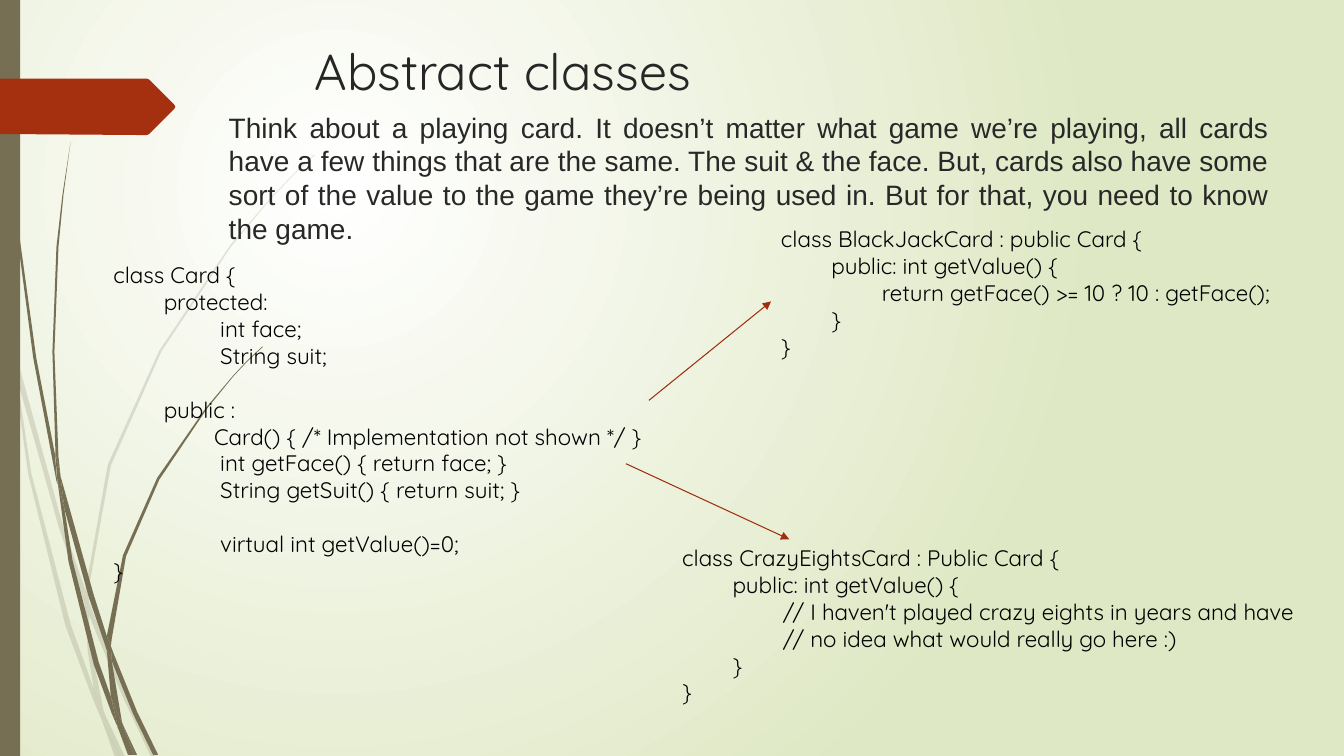
from lxml import etree
from pptx import Presentation
from pptx.dml.color import RGBColor
from pptx.enum.shapes import MSO_CONNECTOR as CONN, MSO_SHAPE as SHAPE
from pptx.enum.text import MSO_ANCHOR as ANCHOR, MSO_AUTO_SIZE as AUTO, PP_ALIGN as ALIGN
from pptx.oxml.ns import qn
from pptx.util import Pt

COLORS = {
    "white": "FFFFFF", "pale_green": "DFE8C4", "olive": "766F54", "rust": "A53010",
    "arrow": "9E2E0F", "title": "262626", "body": "282829", "code": "000000",
}
CODE_SIZE = 16
CODE_LINE = 19.2
TAB = 36
UNIT = Pt(0.72)  # outlines below are drawn on a grid of this step

# Grass: outlines of the blade parts
FAINT_GRASS = [
    [(11, 350), (9, 322), (0, 282), (0, 299), (10, 344)],
    [(58, 522), (84, 599), (85, 586), (62, 520), (14, 345), (17, 376)],
    [(92, 607), (88, 596), (88, 610), (123, 694), (150, 751), (155, 751), (127, 692)],
    [(119, 751), (124, 751), (105, 711)],
    [(93, 683), (70, 619), (31, 469), (17, 376), (11, 350), (28, 470), (65, 621),
     (92, 693), (101, 714), (99, 707)],
    [(84, 599), (87, 646), (93, 683), (96, 692), (105, 711), (103, 706), (91, 646),
     (88, 610), (88, 608)],
    [(88, 584), (110, 462), (160, 349), (229, 245), (268, 198), (290, 175), (312, 154),
     (312, 153), (289, 175), (268, 197), (228, 244), (158, 348), (107, 461), (85, 584),
     (85, 586), (88, 596)],
    [(101, 714), (114, 751), (119, 751)],
    [(88, 608), (88, 610), (88, 596), (85, 586), (84, 599)],
    [(96, 692), (93, 683), (99, 707), (101, 714), (119, 751), (105, 711)],
]
SOLID_GRASS = [
    [(7, 110), (17, 233), (33, 355), (56, 477), (57, 481), (55, 457), (55, 453),
     (36, 355), (19, 232), (8, 109), (5, 48), (4, 0), (3, 0), (4, 48)],
    [(88, 592), (106, 645), (106, 633), (106, 631), (93, 590), (60, 472), (64, 505)],
    [(113, 649), (110, 641), (111, 656), (132, 708), (152, 749), (157, 749), (136, 706)],
    [(110, 691), (98, 657), (72, 556), (64, 505), (57, 477), (68, 557), (93, 659),
     (111, 708), (117, 722), (116, 717)],
    [(60, 472), (58, 453), (54, 349), (58, 245), (63, 193), (70, 141), (62, 193),
     (56, 245), (52, 349), (55, 449)],
    [(133, 749), (136, 749), (122, 719)],
    [(57, 477), (64, 505), (60, 472), (55, 449), (55, 453)],
    [(111, 633), (125, 552), (158, 476), (205, 406), (231, 374), (245, 359), (261, 344),
     (260, 344), (245, 358), (231, 373), (204, 405), (156, 474), (122, 551), (106, 631),
     (110, 641)],
    [(117, 722), (127, 749), (131, 749)],
    [(106, 645), (110, 691), (116, 706), (122, 719), (121, 716), (111, 656), (109, 651)],
    [(106, 645), (109, 651), (111, 656), (110, 641), (106, 631)],
    [(116, 706), (110, 691), (116, 717), (117, 722), (130, 749), (133, 749), (122, 719)],
]
TAG = [(173, 108), (148, 133), (146, 134), (136, 134), (0, 133), (0, 78), (136, 78),
       (146, 78), (148, 79), (173, 104), (174, 106)]

# Code listings: (indent level, text); None leaves a line free
CARD = [
    (0, "class Card {"), (1, "protected:"), (2, " int face;"), (2, " String suit;"),
    None,
    (1, "public :"), (2, "Card() { /* Implementation not shown */ }"),
    (2, " int getFace() { return face; }"), (2, " String getSuit() { return suit; }"),
    None,
    (2, " virtual int getValue()=0;"), (0, "}"),
]
BLACKJACK = [
    (0, "class BlackJackCard : public Card {"), (1, "public: int getValue() {"),
    (2, "return getFace() >= 10 ? 10 : getFace();"), (1, "}"), (0, "}"),
]
CRAZY_EIGHTS = [
    (0, "class CrazyEightsCard : Public Card {"), (1, "public: int getValue() {"),
    (2, "// I haven't played crazy eights in years and have"),
    (2, "// no idea what would really go here :)"), (1, "}"), (0, "}"),
]
THOUGHT = (
    "Think about a playing card. It doesn’t matter what game we’re playing, all cards "
    "have a few things that are the same. The suit & the face. But, cards also have some "
    "sort of the value to the game they’re being used in. But for that, you need to know "
    "the game."
)


def rgb(name):
    return RGBColor.from_string(COLORS[name])


def paint(sp, color, alpha=None):
    sp.shadow.inherit = False
    sp.fill.solid()
    sp.fill.fore_color.rgb = rgb(color)
    sp.line.fill.background()
    if alpha:
        clr = sp._element.spPr.find(qn("a:solidFill"))[0]
        etree.SubElement(clr, qn("a:alpha")).set("val", str(alpha * 1000))


def set_background(s):
    fill = s.background.fill
    fill.gradient()
    for stop, color in zip(fill.gradient_stops, ("white", "pale_green")):
        stop.color.rgb = rgb(color)
    grad = s._element.find(".//" + qn("a:gradFill"))
    grad.remove(grad.find(qn("a:lin")))
    circle = etree.SubElement(grad, qn("a:path"))
    circle.set("path", "circle")
    focus = etree.SubElement(circle, qn("a:fillToRect"))
    for side, val in zip("ltrb", (50, 50, 100, 100)):
        focus.set(side, str(val * 1000))


def add_outline(s, points, color, alpha=None):
    builder = s.shapes.build_freeform(*points[0], scale=UNIT)
    builder.add_line_segments(points[1:], close=True)
    paint(builder.convert_to_shape(), color, alpha)


def add_bar(s, x, y, w, h, color):
    paint(s.shapes.add_shape(SHAPE.RECTANGLE, Pt(x), Pt(y), Pt(w), Pt(h)), color)


def add_box(s, x, y, w, h):
    tf = s.shapes.add_textbox(Pt(x), Pt(y), Pt(w), Pt(h)).text_frame
    tf.word_wrap = True
    tf.vertical_anchor = ANCHOR.TOP
    return tf


def add_run(p, text, font, size, color):
    r = p.add_run()
    r.text = text
    r.font.name, r.font.size = font, Pt(size)
    r.font.color.rgb = rgb(color)


def add_code(s, x, y, w, h, lines):
    tf = add_box(s, x, y, w, h)
    tf.auto_size = AUTO.SHAPE_TO_FIT_TEXT
    p, gap = tf.paragraphs[0], 0
    for i, line in enumerate(lines):
        if line is None:
            gap = CODE_LINE
            continue
        level, text = line
        if i:
            p = tf.add_paragraph()
        if gap:
            p.space_before = Pt(gap)
        p._p.get_or_add_pPr().set("marL", str(Pt(level * TAB)))
        add_run(p, text, "Quicksand", CODE_SIZE, "code")
        gap = 0


def add_arrow(s, x1, y1, x2, y2):
    line = s.shapes.add_connector(CONN.STRAIGHT, Pt(x1), Pt(y1), Pt(x2), Pt(y2))
    line.line.color.rgb = rgb("arrow")
    line.line.width = Pt(0.75)
    ln = line._element.spPr.find(qn("a:ln"))
    etree.SubElement(ln, qn("a:tailEnd")).set("type", "triangle")
    etree.SubElement(line._element.spPr, qn("a:effectLst"))


def main():
    prs = Presentation()
    prs.slide_width, prs.slide_height = Pt(960), Pt(540)
    s = prs.slides.add_slide(prs.slide_layouts[6])

    # Backdrop
    set_background(s)
    for points in FAINT_GRASS:
        add_outline(s, points, "olive", alpha=20)
    for points in SOLID_GRASS:
        add_outline(s, points, "olive")
    add_bar(s, 0, 0, 14.4, 540, "olive")
    add_outline(s, TAG, "rust")

    # Title and introduction
    tf = add_box(s, 217.6, 24.8, 363, 100.8)
    add_run(tf.paragraphs[0], "Abstract classes", "Quicksand", 36, "title")
    tf = add_box(s, 156.3, 75.2, 757.4, 80)
    tf.auto_size = AUTO.SHAPE_TO_FIT_TEXT
    tf.paragraphs[0].alignment = ALIGN.JUSTIFY
    add_run(tf.paragraphs[0], THOUGHT, "Arial", 20, "body")

    # Base class and the two classes derived from it
    add_code(s, 73.9, 183.3, 431.3, 244.8, CARD)
    add_arrow(s, 463.5, 286, 550.8, 215.3)
    add_code(s, 550.8, 157.4, 480.2, 106.6, BLACKJACK)
    add_arrow(s, 447.1, 331.2, 563.8, 385.2)
    add_code(s, 480.2, 385.2, 522, 123.8, CRAZY_EIGHTS)

    prs.save("out.pptx")


if __name__ == "__main__":
    main()
